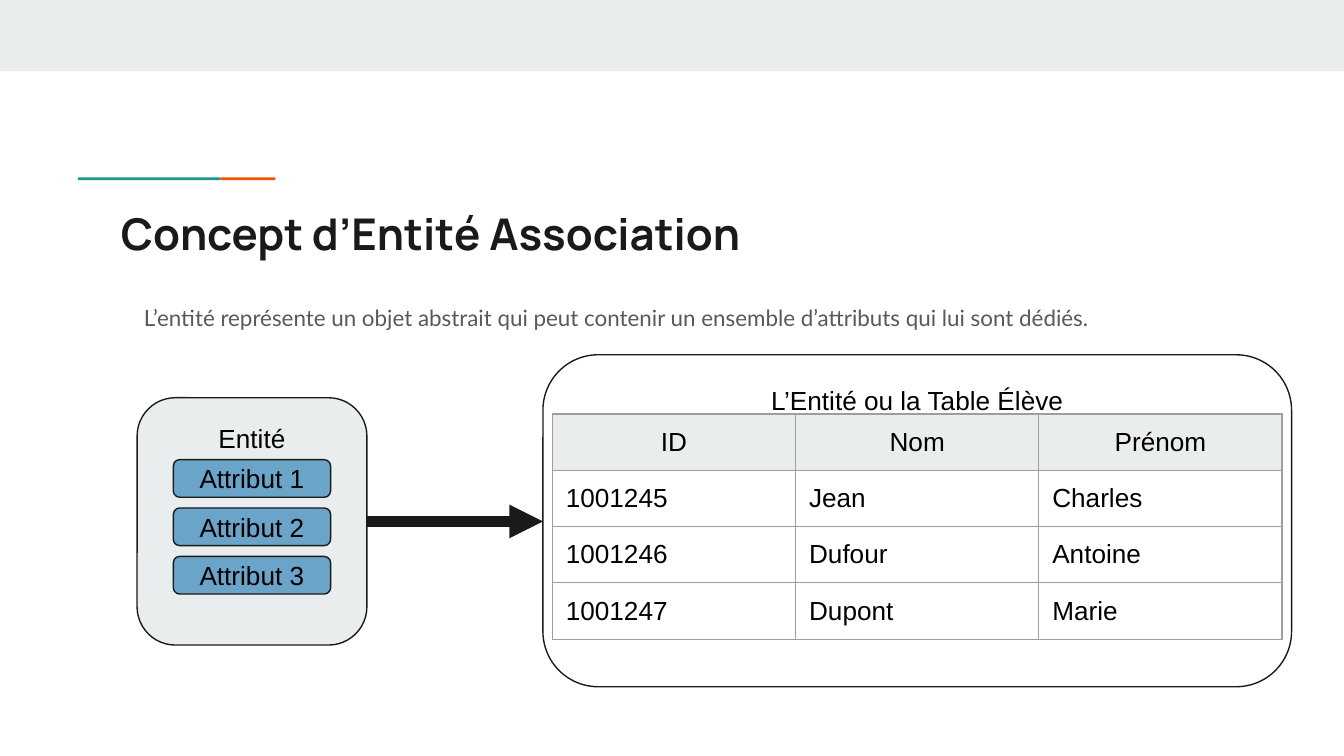
from lxml.etree import SubElement
from pptx import Presentation
from pptx.dml.color import RGBColor
from pptx.enum.shapes import MSO_CONNECTOR, MSO_SHAPE
from pptx.enum.text import MSO_ANCHOR, MSO_AUTO_SIZE, PP_ALIGN
from pptx.oxml.ns import qn
from pptx.util import Inches, Pt

INK = RGBColor(0x1A, 0x1A, 0x1A)
BLACK = RGBColor(0x00, 0x00, 0x00)
GREY_TEXT = RGBColor(0x59, 0x59, 0x59)
PALE = RGBColor(0xE9, 0xED, 0xEE)
TEAL = RGBColor(0x1A, 0x99, 0x88)
ORANGE = RGBColor(0xEB, 0x56, 0x00)
BLUE = RGBColor(0x6A, 0xA4, 0xC8)
BORDER = RGBColor(0x9E, 0x9E, 0x9E)

STUDENTS = [
    ("ID", "Nom", "Prénom"),
    ("1001245", "Jean", "Charles"),
    ("1001246", "Dufour", "Antoine"),
    ("1001247", "Dupont", "Marie"),
]


def write(frame, text, size=14, font="Arial", color=BLACK, bold=False, align=PP_ALIGN.CENTER):
    frame.text = text
    para = frame.paragraphs[0]
    para.alignment = align
    span = para.runs[0]
    span.font.size, span.font.name, span.font.bold = Pt(size), font, bold
    span.font.color.rgb = color
    return para


def set_frame(frame, anchor):
    frame.word_wrap = True
    frame.auto_size = MSO_AUTO_SIZE.NONE
    frame.vertical_anchor = anchor
    frame.margin_left = frame.margin_right = Inches(0.1)
    frame.margin_top = frame.margin_bottom = Inches(0.1)


def add_bar(page, box, color):
    bar = page.shapes.add_shape(MSO_SHAPE.RECTANGLE, *map(Inches, box))
    bar.shadow.inherit = False
    bar.fill.solid()
    bar.fill.fore_color.rgb = color
    bar.line.fill.background()


def add_rounded(page, box, text, fill=None, anchor=MSO_ANCHOR.TOP):
    shape = page.shapes.add_shape(MSO_SHAPE.ROUNDED_RECTANGLE, *map(Inches, box))
    shape.shadow.inherit = False
    if fill is None:
        shape.fill.background()
    else:
        shape.fill.solid()
        shape.fill.fore_color.rgb = fill
    shape.line.color.rgb = INK
    shape.line.width = Pt(0.75)
    set_frame(shape.text_frame, anchor)
    write(shape.text_frame, text)


def fill_placeholder(holder, box, text, **style):
    holder.left, holder.top, holder.width, holder.height = map(Inches, box)
    set_frame(holder.text_frame, MSO_ANCHOR.TOP)
    para = write(holder.text_frame, text, align=PP_ALIGN.LEFT, **style)
    para.space_before = Pt(0)
    return para


def add_heading(page):
    # Top band and two-colour accent line
    add_bar(page, (0, 0, 10, 0.53), PALE)
    add_bar(page, (0.58, 1.32, 1.06, 0.02), TEAL)
    add_bar(page, (1.64, 1.32, 0.41, 0.02), ORANGE)

    # Title and introduction
    fill_placeholder(page.shapes.title, (0.8, 1.44, 8.41, 0.59),
                     "Concept d’Entité Association",
                     size=23.4, font="Manrope", color=INK, bold=True)
    para = fill_placeholder(
        page.placeholders[1], (0.97, 2.13, 8.41, 0.4),
        "L’entité représente un objet abstrait qui peut contenir "
        "un ensemble d’attributs qui lui sont dédiés.",
        size=12, font="Lato", color=GREY_TEXT)
    para.line_spacing = 1.15
    para.space_after = Pt(12)
    properties = para._p.get_or_add_pPr()
    properties.set("marL", "0")
    properties.set("indent", "0")
    SubElement(properties, qn("a:buNone"))


def add_entity(page, box):
    left, top, width, _ = box
    add_rounded(page, box, "Entité", PALE)
    # Evenly spaced attributes
    for index in range(3):
        place = (left + 0.27, top + 0.46 + 0.36 * index, width - 0.54, 0.28)
        add_rounded(page, place, f"Attribut {index + 1}", BLUE, MSO_ANCHOR.MIDDLE)


def set_borders(cell):
    properties = cell._tc.get_or_add_tcPr()
    for position, side in enumerate(("a:lnL", "a:lnR", "a:lnT", "a:lnB")):
        line = SubElement(properties, qn(side), w=str(Pt(0.75)))
        fill = SubElement(line, qn("a:solidFill"))
        SubElement(fill, qn("a:srgbClr"), val=str(BORDER))
        properties.insert(position, line)


def add_student_table(page, box):
    left, top, width, _ = box
    rows, columns = len(STUDENTS), len(STUDENTS[0])
    table = page.shapes.add_table(
        rows, columns, Inches(left + 0.07), Inches(top + 0.44),
        Inches(width - 0.14), Inches(0.41 * rows)).table
    for row, values in enumerate(STUDENTS):
        for column, value in enumerate(values):
            cell = table.cell(row, column)
            cell.margin_left = cell.margin_right = Inches(0.1)
            cell.margin_top = cell.margin_bottom = Inches(0.1)
            if row == 0:
                cell.fill.solid()
                cell.fill.fore_color.rgb = PALE
            else:
                cell.fill.background()
            write(cell.text_frame, value,
                  align=PP_ALIGN.LEFT if row else PP_ALIGN.CENTER)
            set_borders(cell)
    # Outline around the table
    add_rounded(page, box, "L’Entité ou la Table Élève")


def add_arrow(page, start, end, height):
    arrow = page.shapes.add_connector(
        MSO_CONNECTOR.STRAIGHT, Inches(start), Inches(height), Inches(end), Inches(height))
    arrow.line.color.rgb = INK
    arrow.line.width = Pt(6)
    properties = arrow._element.spPr
    SubElement(properties.find(qn("a:ln")), qn("a:tailEnd"), type="triangle")
    SubElement(properties, qn("a:effectLst"))


def main():
    deck = Presentation()
    # Widescreen page, 16:9
    deck.slide_width = Inches(10)
    deck.slide_height = Inches(10) * 9 // 16
    page = deck.slides.add_slide(deck.slide_layouts[1])
    entity_box = (1.02, 2.96, 1.71, 1.84)
    table_box = (4.04, 2.64, 5.57, 2.47)
    add_heading(page)
    add_entity(page, entity_box)
    add_student_table(page, table_box)
    add_arrow(page, entity_box[0] + entity_box[2], table_box[0], 3.88)
    deck.save("out.pptx")


if __name__ == "__main__":
    main()
